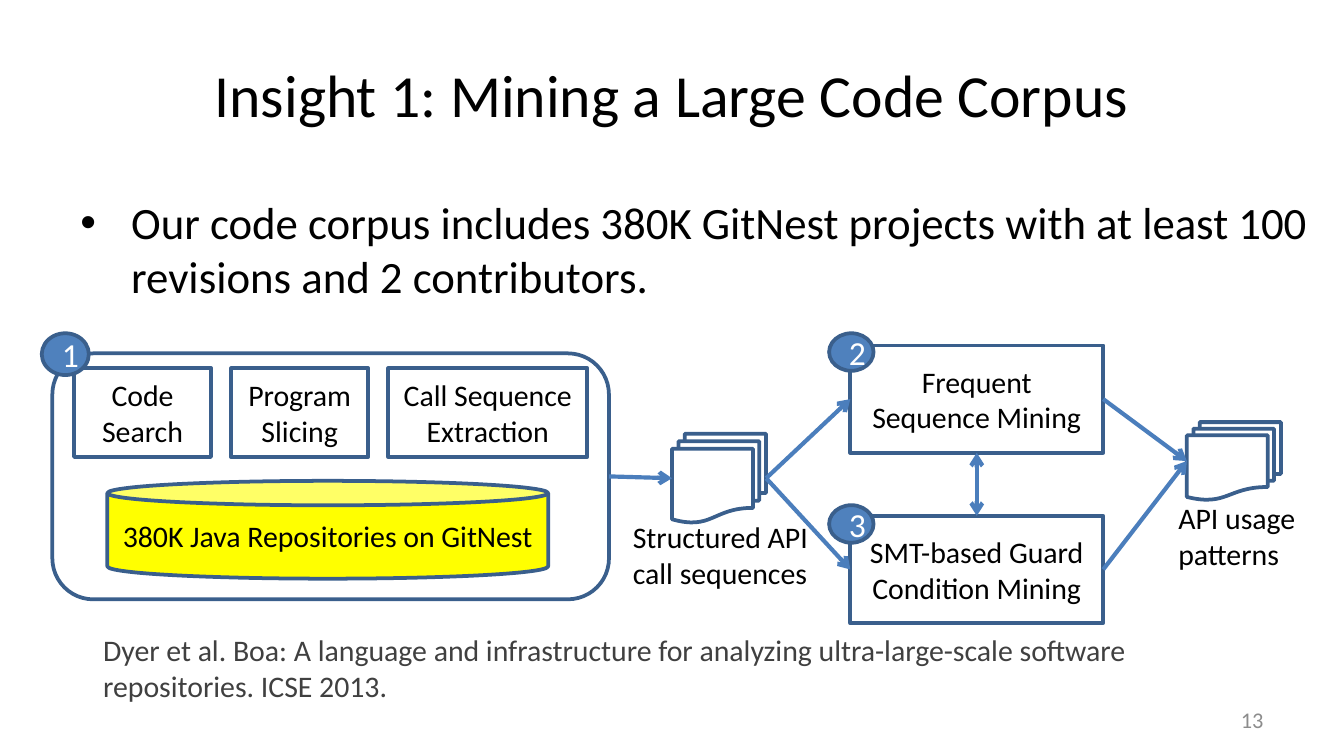
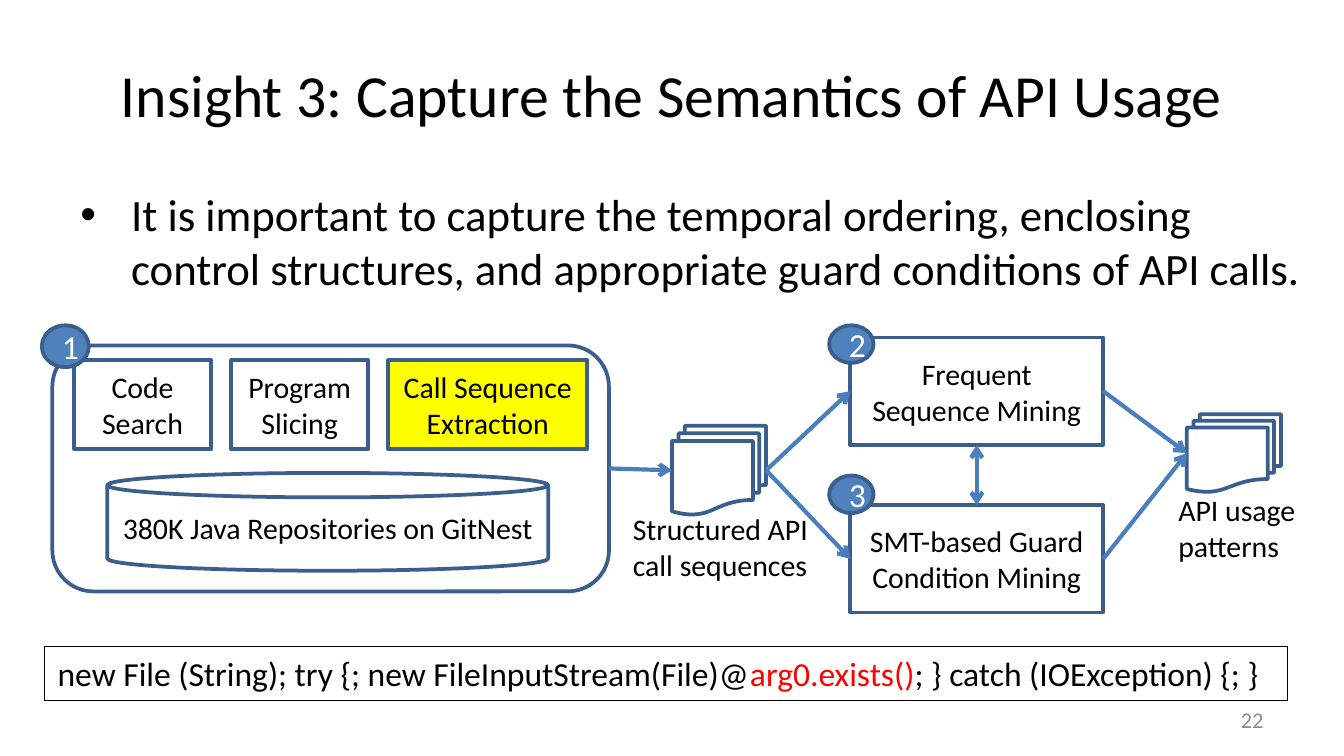
"""Build two slides about mining API usage patterns from a large code corpus."""
from lxml.etree import SubElement
from pptx import Presentation
from pptx.dml.color import RGBColor
from pptx.enum.shapes import MSO_CONNECTOR, MSO_SHAPE
from pptx.enum.text import MSO_ANCHOR, MSO_AUTO_SIZE, PP_ALIGN
from pptx.oxml.ns import qn
from pptx.util import Cm, Pt

COLORS = {
    "black": "000000", "white": "FFFFFF", "yellow": "FFFF00", "red": "FF0000",
    "outline": "3A5F8C", "arrow": "4B7EBC", "badge": "4F81BD",
    "citation": "404040", "number": "8C8C8C",
}

REPOSITORIES = "380K Java Repositories on GitNest"
SLIDES = [
    {
        "title": "Insight 1: Mining a Large Code Corpus",
        "bullet": "Our code corpus includes 380K GitNest projects with at least 100 "
                  "revisions and 2 contributors.",
        "number": "13",
        "shift": 0,
        "guard_top": 9.75,
        "guard_badge_top": 9.55,
        "fills": {"Program Slicing": "white", REPOSITORIES: "yellow"},
        "citation": "Dyer et al. Boa: A language and infrastructure for analyzing "
                    "ultra-large-scale software repositories. ICSE 2013.",
    },
    {
        "title": "Insight 3: Capture the Semantics of API Usage",
        "bullet": "It is important to capture the temporal ordering, enclosing control "
                  "structures, and appropriate guard conditions of API calls.",
        "number": "22",
        "shift": -0.15,
        "guard_top": 9.55,
        "guard_badge_top": 8.99,
        "fills": {"Call Sequence Extraction": "yellow", REPOSITORIES: "white"},
        "code": [
            ("new File (String); try {; new FileInputStream(File)@", "black"),
            ("arg0.exists()", "red"),
            ("; } catch (IOException) {; }", "black"),
        ],
    },
]

STAGES = [("Code Search", 2.59), ("Program Slicing", 2.59), ("Call Sequence Extraction", 3.76)]
STAGE_LEFT, STAGE_TOP, STAGE_HEIGHT, STAGE_GAP = 1.4, 6.96, 1.68, 0.38
MINER_LEFT, MINER_TOP, MINER_WIDTH, MINER_HEIGHT = 16.07, 6.53, 4.78, 2.03
BADGE_TOP = 6.3
LABELS = [
    ("Structured API call sequences", (11.71, 9.68, 3.96, 1.63)),
    ("API usage patterns", (22.02, 9.32, 2.97, 1.63)),
]
TOP, LEFT, BOTTOM, RIGHT = range(4)
ARROWS = [
    ("pipeline", RIGHT, "sequences", LEFT, ["tailEnd"]),
    ("sequences", RIGHT, "frequent", LEFT, ["tailEnd"]),
    ("sequences", RIGHT, "guard", LEFT, ["tailEnd"]),
    ("frequent", BOTTOM, "guard", TOP, ["headEnd", "tailEnd"]),
    ("frequent", RIGHT, "patterns", LEFT, ["tailEnd"]),
    ("guard", RIGHT, "patterns", LEFT, ["tailEnd"]),
]


def rgb(name):
    return RGBColor.from_string(COLORS[name])


def write(shape, runs, size, **formats):
    frame = shape.text_frame
    frame.word_wrap = True
    frame.vertical_anchor = formats.pop("anchor", MSO_ANCHOR.TOP)
    frame.auto_size = formats.pop("auto_size", MSO_AUTO_SIZE.NONE)
    paragraph = frame.paragraphs[0]
    for name, value in formats.items():
        setattr(paragraph, name, value)
    for text, color in runs:
        run = paragraph.add_run()
        run.text = text
        for name, value in {"name": "Calibri", "size": Pt(size)}.items():
            setattr(run.font, name, value)
        run.font.color.rgb = rgb(color)
    return paragraph


def add_text(slide, box, runs, size, **formats):
    shape = slide.shapes.add_textbox(*map(Cm, box))
    return write(shape, runs, size, **formats)


def add_box(slide, kind, box, text="", fill=None, size=16, color="black"):
    shape = slide.shapes.add_shape(kind, *map(Cm, box))
    shape.shadow.inherit = False
    if fill:
        shape.fill.solid()
        shape.fill.fore_color.rgb = rgb(fill)
    else:
        shape.fill.background()
    shape.line.color.rgb = rgb("outline")
    shape.line.width = Pt(2)
    if text:
        write(shape, [(text, color)], size, anchor=MSO_ANCHOR.MIDDLE, alignment=PP_ALIGN.CENTER)
    return shape


def add_arrow(slide, start, start_site, end, end_site, heads):
    connector = slide.shapes.add_connector(MSO_CONNECTOR.STRAIGHT, 0, 0, 0, 0)
    connector.begin_connect(start, start_site)
    connector.end_connect(end, end_site)
    connector.line.color.rgb = rgb("arrow")
    connector.line.width = Pt(2.25)
    line = connector.line._get_or_add_ln()
    for head in heads:
        SubElement(line, qn(f"a:{head}"), type="arrow")
    SubElement(connector._element.spPr, qn("a:effectLst"))


def add_heading(slide, content):
    title = slide.shapes.title
    for name, value in {"left": 1.27, "top": 0.58, "width": 22.86, "height": 2.39}.items():
        setattr(title, name, Cm(value))
    write(title, [(content["title"], "black")], 32,
          anchor=MSO_ANCHOR.MIDDLE, alignment=PP_ALIGN.CENTER)
    bullet = add_text(slide, (1.27, 3.56 + content["shift"], 23.72, 2.34),
                      [(content["bullet"], "black")], 24, space_before=Pt(4.8))
    properties = bullet._p.get_or_add_pPr()
    properties.set("marL", str(Cm(0.96)))
    properties.set("indent", str(Cm(-0.96)))
    SubElement(properties, qn("a:buFont"), typeface="Arial")
    SubElement(properties, qn("a:buChar"), char="•")
    add_text(slide, (18.21, 13.23, 5.92, 0.76), [(content["number"], "number")], 12,
             anchor=MSO_ANCHOR.MIDDLE, alignment=PP_ALIGN.RIGHT)


def add_diagram(slide, content):
    shift, fills = content["shift"], content["fills"]

    def place(kind, left, top, width, height, text=""):
        return add_box(slide, kind, (left, top + shift, width, height), text, fills.get(text))

    parts = {"pipeline": place(MSO_SHAPE.ROUNDED_RECTANGLE, 0.99, 6.68, 10.52, 4.65)}
    left = STAGE_LEFT
    for text, width in STAGES:
        place(MSO_SHAPE.RECTANGLE, left, STAGE_TOP, width, STAGE_HEIGHT, text)
        left += width + STAGE_GAP
    place(MSO_SHAPE.CAN, 2.03, 9.09, 8.33, 1.85, REPOSITORIES)
    parts["sequences"] = place(MSO_SHAPE.FLOWCHART_MULTIDOCUMENT, 12.7, 8.2, 1.78, 1.68)
    parts["patterns"] = place(MSO_SHAPE.FLOWCHART_MULTIDOCUMENT, 22.43, 7.98, 1.78, 1.47)
    for text, (left, top, width, height) in LABELS:
        add_text(slide, (left, top + shift, width, height), [(text, "black")], 16,
                 auto_size=MSO_AUTO_SIZE.SHAPE_TO_FIT_TEXT)
    miners = [
        ("frequent", "Frequent Sequence Mining", MINER_TOP + shift),
        ("guard", "SMT-based Guard Condition Mining", content["guard_top"]),
    ]
    for name, text, top in miners:
        parts[name] = add_box(slide, MSO_SHAPE.RECTANGLE,
                              (MINER_LEFT, top, MINER_WIDTH, MINER_HEIGHT), text)
    for start, start_site, end, end_site, heads in ARROWS:
        add_arrow(slide, parts[start], start_site, parts[end], end_site, heads)
    badges = [
        (0.79, BADGE_TOP + shift, 0.89, 0.79),
        (15.67, BADGE_TOP + shift, 0.84, 0.71),
        (15.67, content["guard_badge_top"], 0.84, 0.71),
    ]
    for number, box in enumerate(badges, 1):
        add_box(slide, MSO_SHAPE.OVAL, box, str(number), "badge", 18, "white")


def add_evidence(slide, content):
    if "citation" in content:
        add_text(slide, (1.7, 11.81, 20.96, 1.63), [(content["citation"], "citation")], 16,
                 auto_size=MSO_AUTO_SIZE.SHAPE_TO_FIT_TEXT)
    if "code" in content:
        frame = add_box(slide, MSO_SHAPE.RECTANGLE, (0.84, 12.22, 23.5, 1.02))
        frame.line.color.rgb = rgb("black")
        frame.line.width = Pt(0.75)
        write(frame, content["code"], 18, alignment=PP_ALIGN.LEFT,
              auto_size=MSO_AUTO_SIZE.SHAPE_TO_FIT_TEXT)


def main():
    presentation = Presentation()
    presentation.slide_width, presentation.slide_height = Cm(25.4), Cm(14.29)
    for content in SLIDES:
        slide = presentation.slides.add_slide(presentation.slide_layouts[5])
        for add_part in (add_heading, add_diagram, add_evidence):
            add_part(slide, content)
    presentation.save("out.pptx")


if __name__ == "__main__":
    main()
